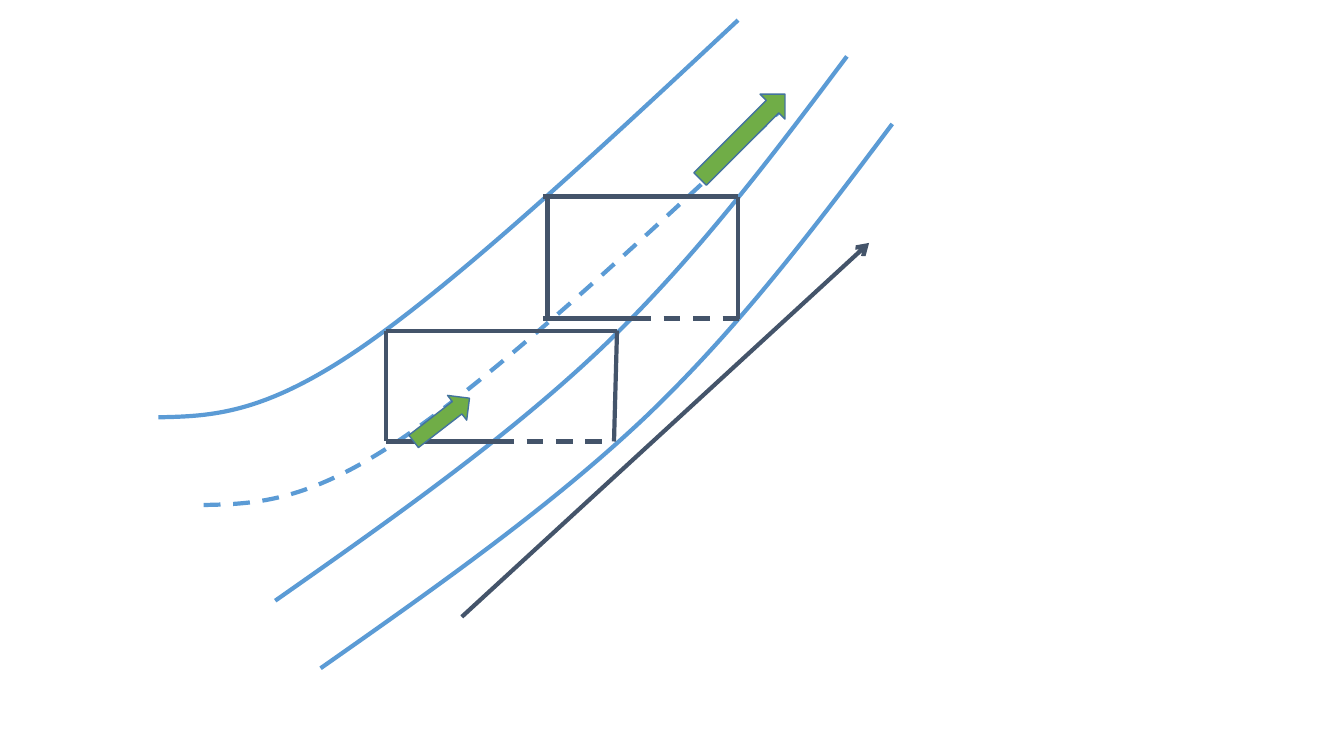
from lxml import etree
from pptx import Presentation
from pptx.dml.color import RGBColor
from pptx.enum.dml import MSO_LINE
from pptx.enum.shapes import MSO_CONNECTOR, MSO_SHAPE
from pptx.oxml.ns import qn
from pptx.util import Pt

PX = 9144
STRAIGHT = MSO_CONNECTOR.STRAIGHT
RIGHT_ARROW = MSO_SHAPE.RIGHT_ARROW
DASH = MSO_LINE.DASH
COLORS = {"curve": "5B9BD5", "frame": "44546A", "arrow": "70AD47", "arrow_edge": "43739E"}
RIGHT_CURVE = [(116, 576), (230, 496), (344, 416), (439, 326), (533, 236), (608, 136), (683, 36)]
LEFT_CURVE = [(0, 394), (53, 393), (105, 391), (201, 325), (297, 259), (436, 130), (575, 0)]


def rgb(name):
    """Return the named colour."""
    return RGBColor.from_string(COLORS[name])


def style_line(line, color, width=3, dashed=False):
    """Set the colour, width and dash of a line."""
    line.color.rgb = rgb(color)
    line.width = Pt(width)
    if dashed:
        line.dash_style = DASH


def draw_curve(slide, origin, controls, shift=(0, 0), dashed=False):
    """Draw a chain of cubic curves through control points given from the origin."""
    points = [(origin[0] + shift[0] + x, origin[1] + shift[1] + y) for x, y in controls]
    builder = slide.shapes.build_freeform(*points[0], scale=PX)
    builder.add_line_segments(points[1:], close=False)
    curve = builder.convert_to_shape()
    curve.fill.background()
    curve.shadow.inherit = False
    style_line(curve.line, "curve", dashed=dashed)
    steps = list(curve._element.iter(qn("a:lnTo")))
    path = steps[0].getparent()
    for start in range(0, len(steps), 3):
        bezier = etree.SubElement(path, qn("a:cubicBezTo"))
        for step in steps[start:start + 3]:
            bezier.append(step[0])
            path.remove(step)


def draw_edge(slide, origin, start, end, dashed=False):
    """Draw a straight edge between two points given from the origin."""
    x, y = origin
    ends = (x + start[0], y + start[1], x + end[0], y + end[1])
    edge = slide.shapes.add_connector(STRAIGHT, *(value * PX for value in ends))
    style_line(edge.line, "frame", dashed=dashed)
    etree.SubElement(edge._element.spPr, qn("a:effectLst"))
    return edge


def draw_channel(slide, origin):
    """Draw the four long curves that bound the channel."""
    draw_curve(slide, origin, RIGHT_CURVE)
    draw_curve(slide, origin, RIGHT_CURVE, shift=(45, 67))
    draw_curve(slide, origin, LEFT_CURVE)
    draw_curve(slide, origin, LEFT_CURVE, shift=(45, 87), dashed=True)


def draw_section(slide, box, hidden_start, visible_end, overhang=0, lean=0):
    """Draw a cross-section frame whose bottom edge is partly dashed."""
    left, top, width, height = box
    origin = (left, top)
    draw_edge(slide, origin, (-overhang, 0), (width, 0))
    draw_edge(slide, origin, (width, 0), (width - lean, height))
    draw_edge(slide, origin, (hidden_start, height), (hidden_start + 116, height), dashed=True)
    draw_edge(slide, origin, (-overhang, height), (visible_end, height))
    draw_edge(slide, origin, (0, 0), (0, height))


def draw_flow_arrow(slide, box, rotation):
    """Draw a turned block arrow in the given box."""
    arrow = slide.shapes.add_shape(RIGHT_ARROW, *(value * PX for value in box))
    arrow.rotation = rotation
    arrow.shadow.inherit = False
    arrow.fill.solid()
    arrow.fill.fore_color.rgb = rgb("arrow")
    style_line(arrow.line, "arrow_edge", width=1)


def draw_direction(slide, box):
    """Draw a thin arrow from the bottom left to the top right of the box."""
    left, top, width, height = box
    direction = draw_edge(slide, (left, top), (0, height), (width, 0))
    etree.SubElement(direction.line._get_or_add_ln(), qn("a:tailEnd"), type="arrow")


def main():
    """Build the channel diagram slide."""
    deck = Presentation()
    deck.slide_width, deck.slide_height = 1333 * PX, 750 * PX
    slide = deck.slides.add_slide(deck.slide_layouts.get_by_name("Blank"))
    draw_channel(slide, (157, 20))
    draw_section(slide, (383, 328, 229, 110), hidden_start=110, visible_end=120, lean=3)
    draw_section(slide, (543, 195, 189, 121), hidden_start=86, visible_end=86, overhang=4)
    draw_flow_arrow(slide, (403, 401, 70, 31), 322.3)
    draw_flow_arrow(slide, (677, 118, 119, 35), 315)
    draw_direction(slide, (458, 241, 404, 371))
    deck.save("out.pptx")


if __name__ == "__main__":
    main()
